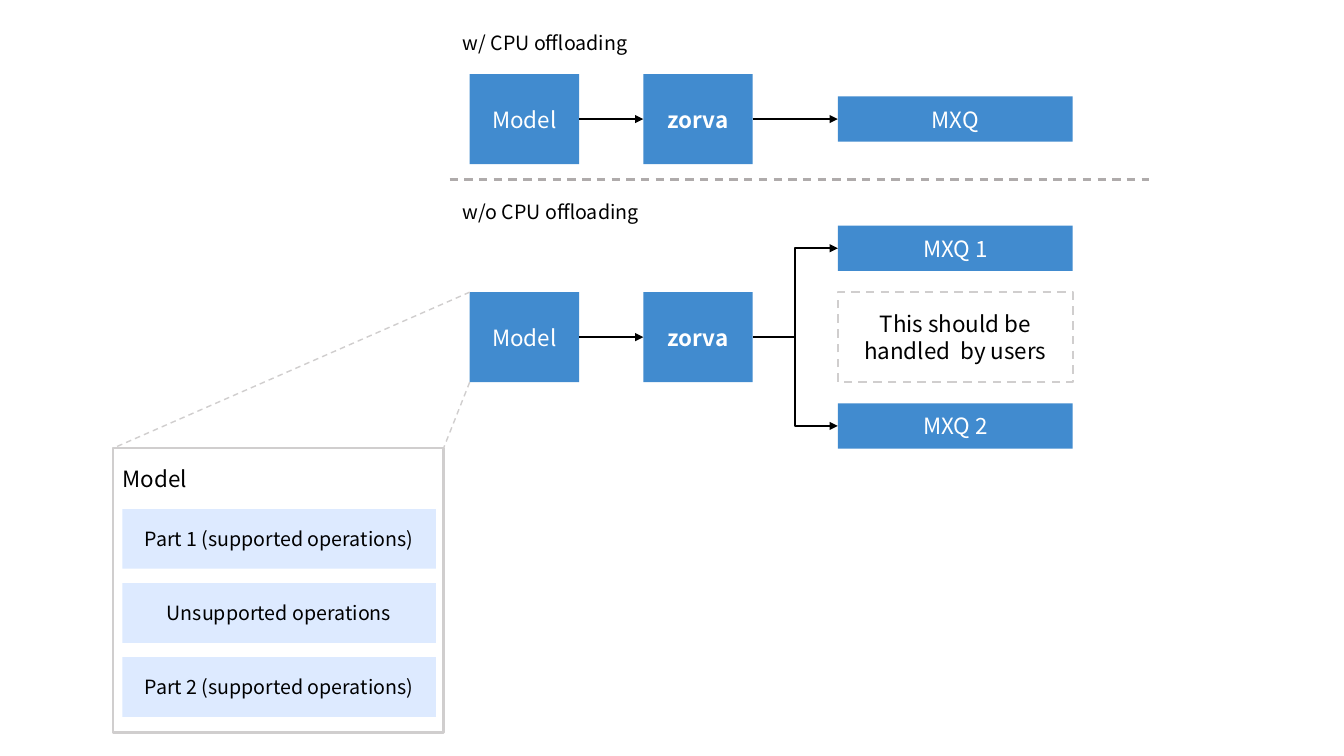
from dataclasses import dataclass
from typing import Any, Optional

from lxml.etree import SubElement
from pptx import Presentation
from pptx.dml.color import RGBColor
from pptx.enum.dml import MSO_LINE
from pptx.enum.shapes import MSO_CONNECTOR, MSO_SHAPE
from pptx.enum.text import MSO_ANCHOR, MSO_AUTO_SIZE, PP_ALIGN
from pptx.oxml.ns import qn
from pptx.util import Inches, Pt


@dataclass(frozen=True)
class Theme:
    font: str = "Noto Sans CJK KR"
    blue: str = "418BCF"
    pale_blue: str = "CFE2FF"
    pale_opacity: int = 70
    white: str = "FFFFFF"
    black: str = "000000"
    border: str = "D0CECE"
    divider: str = "AFABAB"
    large: int = 16
    small: int = 14
    thick: float = 1.5
    thin: float = 1


@dataclass(frozen=True)
class Track:
    start: float
    size: float

    @property
    def end(self) -> float:
        return self.start + self.size


@dataclass(frozen=True)
class Box:
    text: str
    column: Track
    row: Track
    fill: Optional[str] = None
    opacity: int = 100
    border: Optional[str] = None
    dash: bool = False
    color: str = "000000"
    size: int = 16
    bold: bool = False


@dataclass(frozen=True)
class Label:
    text: str
    column: Track
    row: Track
    size: int


THEME = Theme()
WIDTH, HEIGHT = Inches(13.33), Inches(7.5)

MODEL_COLUMN = Track(34.95, 8.14)
COMPILER_COLUMN = Track(47.87, 8.14)
OUTPUT_COLUMN = Track(62.34, 17.48)
LABEL_COLUMN = Track(33.7, 15)
DIVIDER_COLUMN = Track(33.45, 52.07)
PANEL_COLUMN = Track(8.4, 24.6)
PART_COLUMN = Track(9.1, 23.33)

WITH_CENTER, WITHOUT_CENTER, BRANCH_OFFSET = 15.75, 44.6, 11.75
BOX_HEIGHT, BAR_HEIGHT = 11.9, 6
DIVIDER_ROW = 23.75
PANEL_ROW = Track(59.3, 37.6)
PART_START, PART_STEP, PART_HEIGHT = 67.33, 9.8, 7.9


def across(share: float) -> int:
    return round(WIDTH * share / 100)


def down(share: float) -> int:
    return round(HEIGHT * share / 100)


def centered(center: float, size: float) -> Track:
    return Track(center - size / 2, size)


def place(column: Track, row: Track) -> tuple[int, int, int, int]:
    return across(column.start), down(row.start), across(column.size), down(row.size)


def write_text(shape: Any, text: str, *, size: int, color: str = THEME.black,
               bold: bool = False, align: PP_ALIGN = PP_ALIGN.CENTER,
               anchor: MSO_ANCHOR = MSO_ANCHOR.MIDDLE, wrap: bool = True) -> None:
    frame = shape.text_frame
    frame.word_wrap = wrap
    frame.vertical_anchor = anchor
    paragraph = frame.paragraphs[0]
    paragraph.alignment = align
    run = paragraph.add_run()
    run.text = text
    run.font.name = THEME.font
    run.font.size = Pt(size)
    run.font.bold = bold
    run.font.color.rgb = RGBColor.from_string(color)


def style_line(line: Any, color: str, width: float, dash: bool) -> None:
    line.color.rgb = RGBColor.from_string(color)
    line.width = Pt(width)
    if dash:
        line.dash_style = MSO_LINE.DASH


def draw_box(shapes: Any, box: Box) -> Any:
    shape = shapes.add_shape(MSO_SHAPE.RECTANGLE, *place(box.column, box.row))
    shape.shadow.inherit = False
    if box.fill:
        shape.fill.solid()
        shape.fill.fore_color.rgb = RGBColor.from_string(box.fill)
        if box.opacity < 100:
            color = next(shape.fill._xPr.iter(qn("a:srgbClr")))
            SubElement(color, qn("a:alpha"), val=str(box.opacity * 1000))
    else:
        shape.fill.background()
    if box.border:
        style_line(shape.line, box.border, THEME.thick, box.dash)
    else:
        shape.line.fill.background()
    if box.text:
        write_text(shape, box.text, size=box.size, color=box.color, bold=box.bold)
    return shape


def draw_label(shapes: Any, label: Label) -> None:
    shape = shapes.add_textbox(*place(label.column, label.row))
    write_text(shape, label.text, size=label.size, align=PP_ALIGN.LEFT,
               anchor=MSO_ANCHOR.TOP, wrap=False)
    shape.text_frame.auto_size = MSO_AUTO_SIZE.SHAPE_TO_FIT_TEXT


def draw_line(shapes: Any, start: tuple[float, float], end: tuple[float, float],
              color: str, width: float, dash: bool = True,
              kind: MSO_CONNECTOR = MSO_CONNECTOR.STRAIGHT) -> Any:
    connector = shapes.add_connector(kind, across(start[0]), down(start[1]),
                                     across(end[0]), down(end[1]))
    style_line(connector.line, color, width, dash)
    SubElement(connector._element.spPr, qn("a:effectLst"))
    return connector


def draw_arrow(shapes: Any, source: Any, target: Any,
               kind: MSO_CONNECTOR = MSO_CONNECTOR.STRAIGHT) -> None:
    connector = draw_line(shapes, (0, 0), (1, 1), THEME.black, THEME.thick, False, kind)
    connector.begin_connect(source, 3)
    connector.end_connect(target, 1)
    SubElement(connector.line._get_or_add_ln(), qn("a:tailEnd"), type="triangle")


def draw_flow(shapes: Any, center: float, outputs: dict[str, float]) -> None:
    row = centered(center, BOX_HEIGHT)
    model, compiler = [
        draw_box(shapes, Box(text, column, row, THEME.blue, color=THEME.white,
                             size=THEME.large, bold=bold))
        for text, column, bold in (("Model", MODEL_COLUMN, False),
                                   ("zorva", COMPILER_COLUMN, True))
    ]
    draw_arrow(shapes, model, compiler)
    for text, offset in outputs.items():
        bar = draw_box(shapes, Box(text, OUTPUT_COLUMN, centered(center + offset, BAR_HEIGHT),
                                   THEME.blue, color=THEME.white, size=THEME.large))
        draw_arrow(shapes, compiler, bar,
                   MSO_CONNECTOR.ELBOW if offset else MSO_CONNECTOR.STRAIGHT)


def draw_panel(shapes: Any) -> None:
    draw_box(shapes, Box("", PANEL_COLUMN, PANEL_ROW, border=THEME.border))
    parts = ("Part 1 (supported operations)", "Unsupported operations",
             "Part 2 (supported operations)")
    for index, text in enumerate(parts):
        row = Track(PART_START + index * PART_STEP, PART_HEIGHT)
        draw_box(shapes, Box(text, PART_COLUMN, row, THEME.pale_blue,
                             THEME.pale_opacity, size=THEME.small))
    draw_label(shapes, Label("Model", Track(PANEL_COLUMN.start, 6.6),
                             Track(60.93, 4.93), THEME.large))


presentation = Presentation()
presentation.slide_width, presentation.slide_height = WIDTH, HEIGHT
slide = presentation.slides.add_slide(presentation.slide_layouts[6])

draw_panel(slide.shapes.add_group_shape().shapes)
draw_flow(slide.shapes, WITH_CENTER, {"MXQ": 0})
draw_flow(slide.shapes, WITHOUT_CENTER, {"MXQ 1": -BRANCH_OFFSET, "MXQ 2": BRANCH_OFFSET})

model_row = centered(WITHOUT_CENTER, BOX_HEIGHT)
draw_box(slide.shapes, Box("This should be handled  by users", OUTPUT_COLUMN, model_row,
                           border=THEME.border, dash=True, size=THEME.large))

for label in (Label("w/ CPU offloading", LABEL_COLUMN, Track(3.45, 4.5), THEME.small),
              Label("w/o CPU offloading", LABEL_COLUMN, Track(25.75, 4.5), THEME.small)):
    draw_label(slide.shapes, label)

draw_line(slide.shapes, (DIVIDER_COLUMN.start, DIVIDER_ROW), (DIVIDER_COLUMN.end, DIVIDER_ROW),
          THEME.divider, THEME.thick)
for model_edge, panel_edge in ((model_row.start, PANEL_COLUMN.start),
                               (model_row.end, PANEL_COLUMN.end)):
    draw_line(slide.shapes, (MODEL_COLUMN.start, model_edge), (panel_edge, PANEL_ROW.start),
              THEME.border, THEME.thin)

presentation.save("out.pptx")
